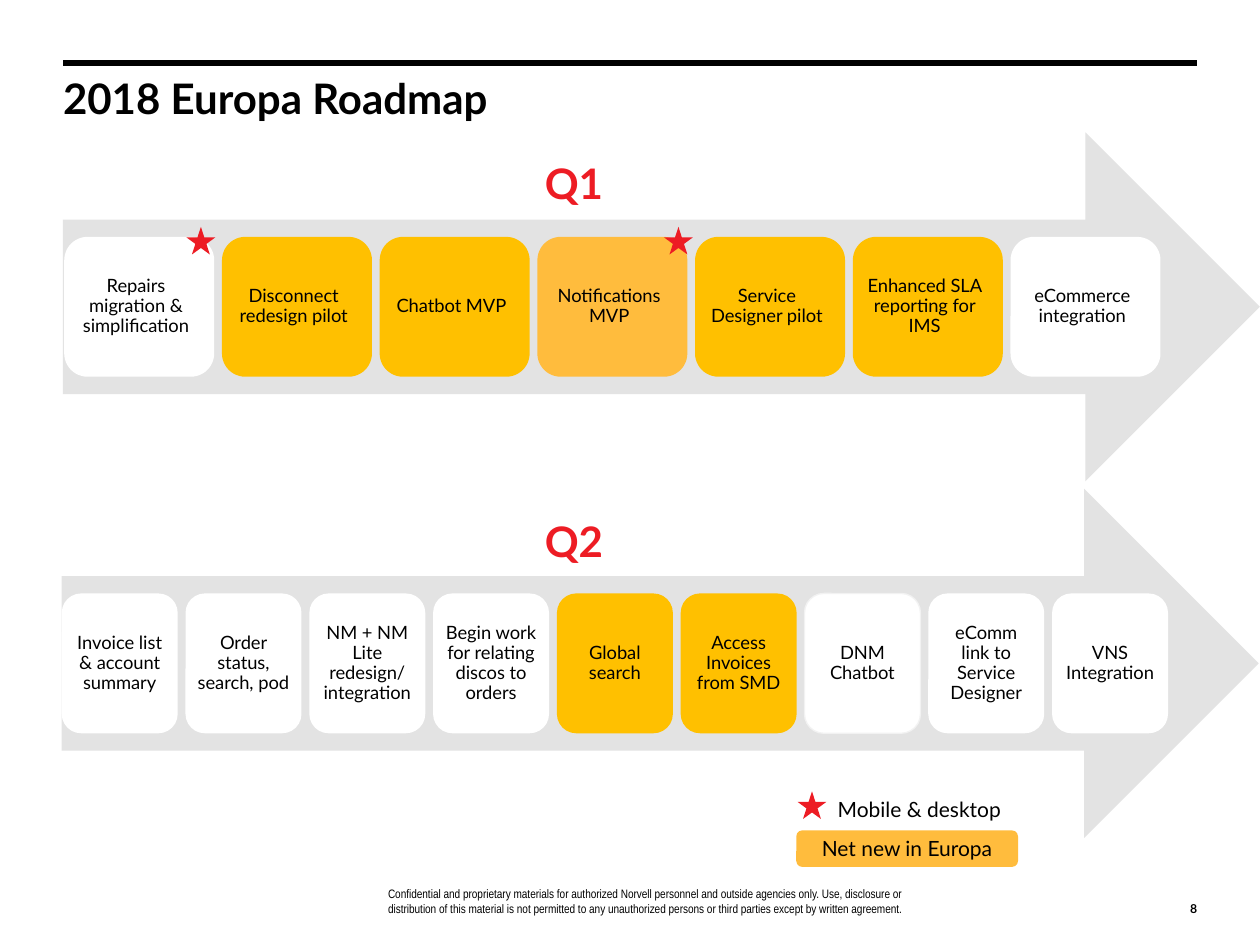
"""Build the 2018 Europa roadmap slide with two quarterly arrows."""
import dataclasses

import pptx
import pptx.dml.color
import pptx.enum.shapes
import pptx.enum.text
import pptx.oxml.xmlchemy
import pptx.util
from lxml import etree

Inches = pptx.util.Inches
Pt = pptx.util.Pt
Shape = pptx.enum.shapes.MSO_SHAPE
Align = pptx.enum.text.PP_ALIGN
Anchor = pptx.enum.text.MSO_ANCHOR
DRAWING_NS = "http://schemas.openxmlformats.org/drawingml/2006/main"


@dataclasses.dataclass(frozen=True)
class Theme:
    """Colours, fonts and type sizes of the slide."""
    black: str = "000000"
    white: str = "FFFFFF"
    arrow: str = "E3E3E3"
    outline: str = "F2F2F2"
    amber: str = "FFC000"
    new: str = "FFBC3D"
    red: str = "ED1C24"
    font: str = "Lato"
    narrow: str = "Arial Narrow"
    heading: float = 24
    legend: float = 12
    card: float = 10.5
    small: float = 7


THEME = Theme()

Q1_CARDS = [
    ("Repairs migration & simplification", THEME.white),
    ("Disconnect redesign pilot", THEME.amber),
    ("Chatbot MVP", THEME.amber),
    ("Notifications MVP", THEME.new),
    ("Service Designer pilot", THEME.amber),
    ("Enhanced SLA reporting for IMS", THEME.amber),
    ("eCommerce integration", THEME.white),
]
Q2_CARDS = [
    ("Invoice list & account summary", THEME.white),
    ("Order status, search, pod", THEME.white),
    ("NM + NM Lite redesign/ integration", THEME.white),
    ("Begin work for relating discos to orders", THEME.white),
    ("Global search", THEME.amber),
    ("Access Invoices from SMD", THEME.amber),
    ("DNM Chatbot", THEME.white),
    ("eComm link to Service Designer", THEME.white),
    ("VNS Integration", THEME.white),
]
DISCLAIMER = (
    "Confidential and proprietary materials for authorized Norvell personnel and "
    "outside agencies only. Use, disclosure or distribution of this material is not "
    "permitted to any unauthorized persons or third parties except by written agreement."
)


def rgb(value):
    """Turn a hex string into a colour."""
    return pptx.dml.color.RGBColor.from_string(value)


def apply(target, values):
    """Set each attribute named in the values on the target."""
    for name, value in values.items():
        setattr(target, name, value)


def write(holder, text, size, color=THEME.black, bold=False, font=THEME.font,
          align=Align.LEFT, anchor=Anchor.TOP, insets=(0.1, 0.05, 0.1, 0.05), spacing=None):
    """Write one formatted paragraph into a shape or text box."""
    frame = holder.text_frame
    left, top, right, bottom = map(Inches, insets)
    apply(frame, {"word_wrap": True, "vertical_anchor": anchor, "margin_left": left,
                  "margin_top": top, "margin_right": right, "margin_bottom": bottom})
    paragraph = frame.paragraphs[0]
    apply(paragraph, {"alignment": align, "line_spacing": spacing})
    run = paragraph.add_run()
    run.text = text
    apply(run.font, {"name": font, "size": Pt(size), "bold": bold})
    run.font.color.rgb = rgb(color)


def add_label(shapes, box, text, size, **style):
    """Add a text box with one paragraph."""
    write(shapes.add_textbox(*map(Inches, box)), text, size, **style)


def add_filled(shapes, kind, box, fill, outline=None):
    """Add a flat preset shape."""
    shape = shapes.add_shape(kind, *map(Inches, box))
    shape.shadow.inherit = False
    shape.fill.solid()
    shape.fill.fore_color.rgb = rgb(fill)
    if outline:
        shape.line.color.rgb = rgb(outline)
        shape.line.width = Pt(0.75)
    else:
        shape.line.fill.background()
    return shape


def add_star(shapes, left, top):
    """Add a mobile and desktop marker."""
    add_filled(shapes, Shape.STAR_5_POINT, (left, top, 0.23, 0.22), THEME.red)


def add_rule(shapes):
    """Add the heavy line above the title."""
    rule = shapes.add_connector(pptx.enum.shapes.MSO_CONNECTOR.STRAIGHT,
                                Inches(0.5), Inches(0.5), Inches(9.5), Inches(0.5))
    rule.line.color.rgb = rgb(THEME.black)
    rule.line.width = Pt(3.75)
    etree.SubElement(rule._element.spPr, f"{{{DRAWING_NS}}}effectLst")


def add_quarter(shapes, left, top, cards, first, last, width, left_inset, outlined=()):
    """Add an arrow with evenly spaced cards along its shaft."""
    quarter = shapes.add_group_shape().shapes
    add_filled(quarter, Shape.RIGHT_ARROW, (left, top, 9.5, 2.77), THEME.arrow)
    pitch = (last - first) / (len(cards) - 1)
    for index, (text, fill) in enumerate(cards):
        box = (first + index * pitch, top + 0.83, width, 1.11)
        outline = THEME.outline if text in outlined else None
        card = add_filled(quarter, Shape.ROUNDED_RECTANGLE, box, fill, outline)
        write(card, text, THEME.card, align=Align.CENTER, anchor=Anchor.MIDDLE,
              insets=(left_inset, 0.05, 0.05, 0.05), spacing=0.9)


def add_legend(shapes):
    """Add the key to the star and the highlight colour."""
    add_star(shapes, 6.33, 6.28)
    add_label(shapes, (6.55, 6.27, 1.76, 0.3), "Mobile & desktop", THEME.legend)
    key = add_filled(shapes, Shape.ROUNDED_RECTANGLE, (6.32, 6.59, 1.76, 0.29), THEME.new)
    write(key, "Net new in Europa", THEME.legend, align=Align.CENTER, anchor=Anchor.MIDDLE)


def main():
    """Build and save the slide."""
    deck = pptx.Presentation()
    apply(deck, {"slide_width": Inches(10), "slide_height": Inches(7.5)})
    shapes = deck.slides.add_slide(deck.slide_layouts[6]).shapes

    add_label(shapes, (3.08, 7.02, 4.4, 0.25), DISCLAIMER, THEME.small, font=THEME.narrow,
              anchor=Anchor.BOTTOM, insets=(0, 0, 0.2, 0))
    add_rule(shapes)
    add_quarter(shapes, 0.5, 1.05, Q1_CARDS, 0.51, 8.02, 1.19, 0)
    add_label(shapes, (9.25, 7.02, 0.25, 0.25), "8", THEME.small, bold=True,
              align=Align.RIGHT, anchor=Anchor.BOTTOM, insets=(0, 0, 0, 0))
    add_label(shapes, (0.5, 0.65, 7.75, 0.75), "2018 Europa Roadmap", THEME.heading,
              bold=True, insets=(0, 0, 0, 0), spacing=0.8)
    add_quarter(shapes, 0.49, 3.88, Q2_CARDS, 0.49, 8.35, 0.92, 0.05, {"DNM Chatbot"})
    for quarter, top in (("Q1", 1.2), ("Q2", 4.04)):
        add_label(shapes, (0.5, top, 8.11, 0.5), quarter, THEME.heading,
                  color=THEME.red, bold=True, align=Align.CENTER)
    add_legend(shapes)
    for left in (1.48, 5.27):
        add_star(shapes, left, 1.8)
    deck.save("out.pptx")


main()
